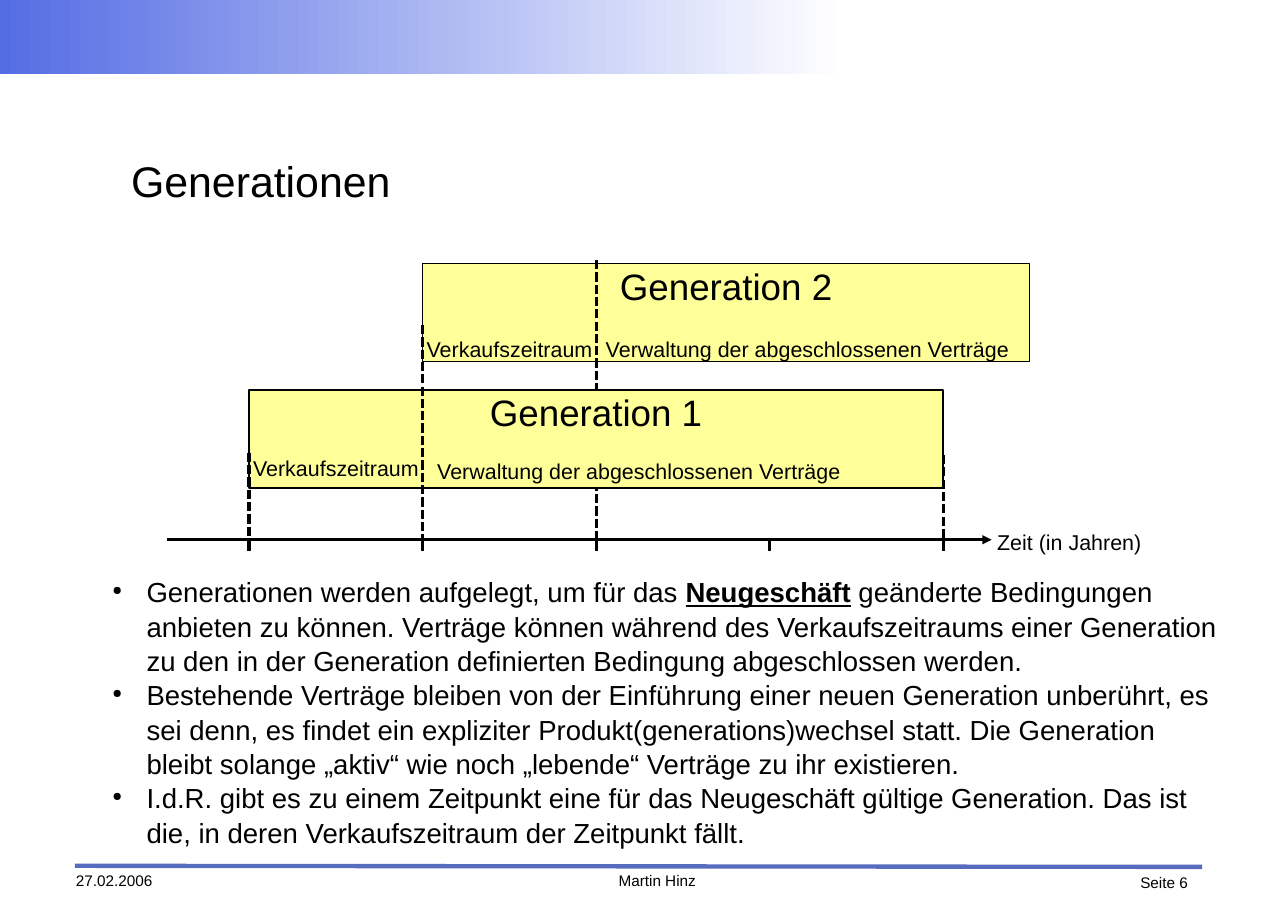
from lxml import etree
from pptx import Presentation
from pptx.dml.color import RGBColor
from pptx.enum.dml import MSO_LINE
from pptx.enum.shapes import MSO_CONNECTOR, MSO_SHAPE
from pptx.enum.text import MSO_ANCHOR, PP_ALIGN
from pptx.oxml.ns import qn
from pptx.util import Inches, Pt

BLACK = RGBColor(0x00, 0x00, 0x00)
WHITE = RGBColor(0xFF, 0xFF, 0xFF)
YELLOW = RGBColor(0xFF, 0xFF, 0x99)
HEADER_BLUE = RGBColor(0x55, 0x6D, 0xE4)
FOOTER_BLUE = RGBColor(0x57, 0x6B, 0xBF)

FIRST_YEAR = 2.26
YEAR_WIDTH = 1.575
AXIS_Y = 4.9
GENERATION_HEIGHT = 0.89

BULLETS = [
    [("Generationen werden aufgelegt, um für das ", False),
     ("Neugeschäft", True),
     (" geänderte Bedingungen anbieten zu können. Verträge können während des "
      "Verkaufszeitraums einer Generation zu den in der Generation definierten "
      "Bedingung abgeschlossen werden.", False)],
    [("Bestehende Verträge bleiben von der Einführung einer neuen Generation "
      "unberührt, es sei denn, es findet ein expliziter "
      "Produkt(generations)wechsel statt. Die Generation bleibt solange „aktiv“ "
      "wie noch „lebende“ Verträge zu ihr existieren.", False)],
    [("I.d.R. gibt es zu einem Zeitpunkt eine für das Neugeschäft gültige "
      "Generation. Das ist die, in deren Verkaufszeitraum der Zeitpunkt fällt.",
      False)],
]


def year_x(year):
    return FIRST_YEAR + year * YEAR_WIDTH


def prepare_frame(frame, anchor=MSO_ANCHOR.TOP):
    frame.word_wrap = True
    frame.vertical_anchor = anchor
    frame.margin_left = frame.margin_right = 0
    frame.margin_top = frame.margin_bottom = 0


def add_run(paragraph, text, size, emphasis=False):
    run = paragraph.add_run()
    run.text = text
    run.font.name = "Arial"
    run.font.size = Pt(size)
    run.font.color.rgb = BLACK
    if emphasis:
        run.font.bold = True
        run.font.underline = True


def add_label(slide, text, left, top, width, height, size,
              align=PP_ALIGN.LEFT, anchor=MSO_ANCHOR.TOP):
    label = slide.shapes.add_textbox(Inches(left), Inches(top),
                                     Inches(width), Inches(height))
    prepare_frame(label.text_frame, anchor)
    paragraph = label.text_frame.paragraphs[0]
    paragraph.alignment = align
    add_run(paragraph, text, size)


def add_rectangle(slide, left, top, width, height):
    rectangle = slide.shapes.add_shape(MSO_SHAPE.RECTANGLE, Inches(left), Inches(top),
                                       Inches(width), Inches(height))
    rectangle.shadow.inherit = False
    return rectangle


def add_line(slide, x1, y1, x2, y2, color=BLACK, width=0, dashed=False, arrow=False):
    line = slide.shapes.add_connector(MSO_CONNECTOR.STRAIGHT, Inches(x1), Inches(y1),
                                      Inches(x2), Inches(y2))
    line.line.color.rgb = color
    line.line.width = Pt(width)
    if dashed:
        line.line.dash_style = MSO_LINE.SQUARE_DOT
    if arrow:
        etree.SubElement(line.line._get_or_add_ln(), qn("a:tailEnd"), type="triangle")
    etree.SubElement(line._element.spPr, qn("a:effectLst"))


def add_year_guide(slide, year, top):
    add_line(slide, year_x(year), top, year_x(year), AXIS_Y, dashed=True)


def add_generation(slide, name, start, top, width):
    box = add_rectangle(slide, year_x(start), top, width, GENERATION_HEIGHT)
    box.fill.solid()
    box.fill.fore_color.rgb = YELLOW
    box.line.color.rgb = BLACK
    box.line.width = Pt(0)
    prepare_frame(box.text_frame)
    title = box.text_frame.paragraphs[0]
    title.alignment = PP_ALIGN.CENTER
    add_run(title, name, 24)


def add_phases(slide, sales_left, sales_top, admin_left, admin_top):
    add_label(slide, "Verkaufszeitraum", sales_left, sales_top, 1.58, 0.22, 14,
              PP_ALIGN.CENTER)
    add_label(slide, "Verwaltung der abgeschlossenen Verträge", admin_left, admin_top,
              3.84, 0.22, 14, PP_ALIGN.CENTER)


def add_bullets(slide):
    body = slide.shapes.add_textbox(Inches(0.39), Inches(5.21),
                                    Inches(10.73), Inches(2.5))
    frame = body.text_frame
    prepare_frame(frame)
    for index, parts in enumerate(BULLETS):
        paragraph = frame.paragraphs[0] if index == 0 else frame.add_paragraph()
        paragraph.line_spacing = 1.04
        props = paragraph._p.get_or_add_pPr()
        props.set("marL", str(Inches(0.94)))
        props.set("indent", str(Inches(-0.31)))
        bullet_color = etree.SubElement(props, qn("a:buClr"))
        etree.SubElement(bullet_color, qn("a:srgbClr"), val=str(BLACK))
        etree.SubElement(props, qn("a:buSzPct"), val="45000")
        etree.SubElement(props, qn("a:buChar"), char="●")
        for text, emphasis in parts:
            add_run(paragraph, text, 18, emphasis)


def add_header(slide):
    band = add_rectangle(slide, 0, 0, 7.67, 0.67)
    band.line.fill.background()
    band.fill.gradient()
    band.fill.gradient_angle = 0
    for stop, color in zip(band.fill.gradient_stops, (HEADER_BLUE, WHITE)):
        stop.color.rgb = color


def add_footer(slide):
    add_line(slide, 0.68, 7.86, 10.91, 7.87, FOOTER_BLUE, 2.83)
    add_label(slide, "Seite 6", 10, 7.93, 0.78, 0.19, 10, PP_ALIGN.RIGHT)
    add_label(slide, "27.02.2006", 0.69, 7.91, 1.17, 0.2, 10)
    add_label(slide, "Martin Hinz", 5.16, 7.91, 1.61, 0.2, 10, PP_ALIGN.CENTER)


def main():
    prs = Presentation()
    prs.slide_width = Inches(11.69)
    prs.slide_height = Inches(8.27)
    slide = prs.slides.add_slide(prs.slide_layouts[6])

    # Page frame and title
    add_header(slide)
    add_footer(slide)
    add_label(slide, "Generationen", 1.19, 0.95, 9.31, 1.37, 28,
              anchor=MSO_ANCHOR.MIDDLE)

    # Generations; the guide of year 2 passes behind Generation 1
    add_generation(slide, "Generation 2", 1, 2.39, 5.51)
    add_year_guide(slide, 2, 2.36)
    add_generation(slide, "Generation 1", 0, 3.54, 4 * YEAR_WIDTH)

    # Time axis with one tick per year
    add_line(slide, 1.52, AXIS_Y, 9, AXIS_Y, arrow=True)
    for year in range(5):
        add_line(slide, year_x(year), AXIS_Y, year_x(year), AXIS_Y + 0.1)
    add_label(slide, "Zeit (in Jahren)", 9.05, 4.8, 1.38, 0.22, 14)

    # Guides in front of the generations
    for year, top in ((0, 4.11), (1, 2.95), (4, 4.13)):
        add_year_guide(slide, year, top)

    # Phases of each generation
    add_phases(slide, year_x(0), 4.13, 3.88, 4.16)
    add_phases(slide, year_x(1), 3.05, year_x(2), 3.05)

    # Explanation
    add_bullets(slide)

    prs.save("out.pptx")


if __name__ == "__main__":
    main()
